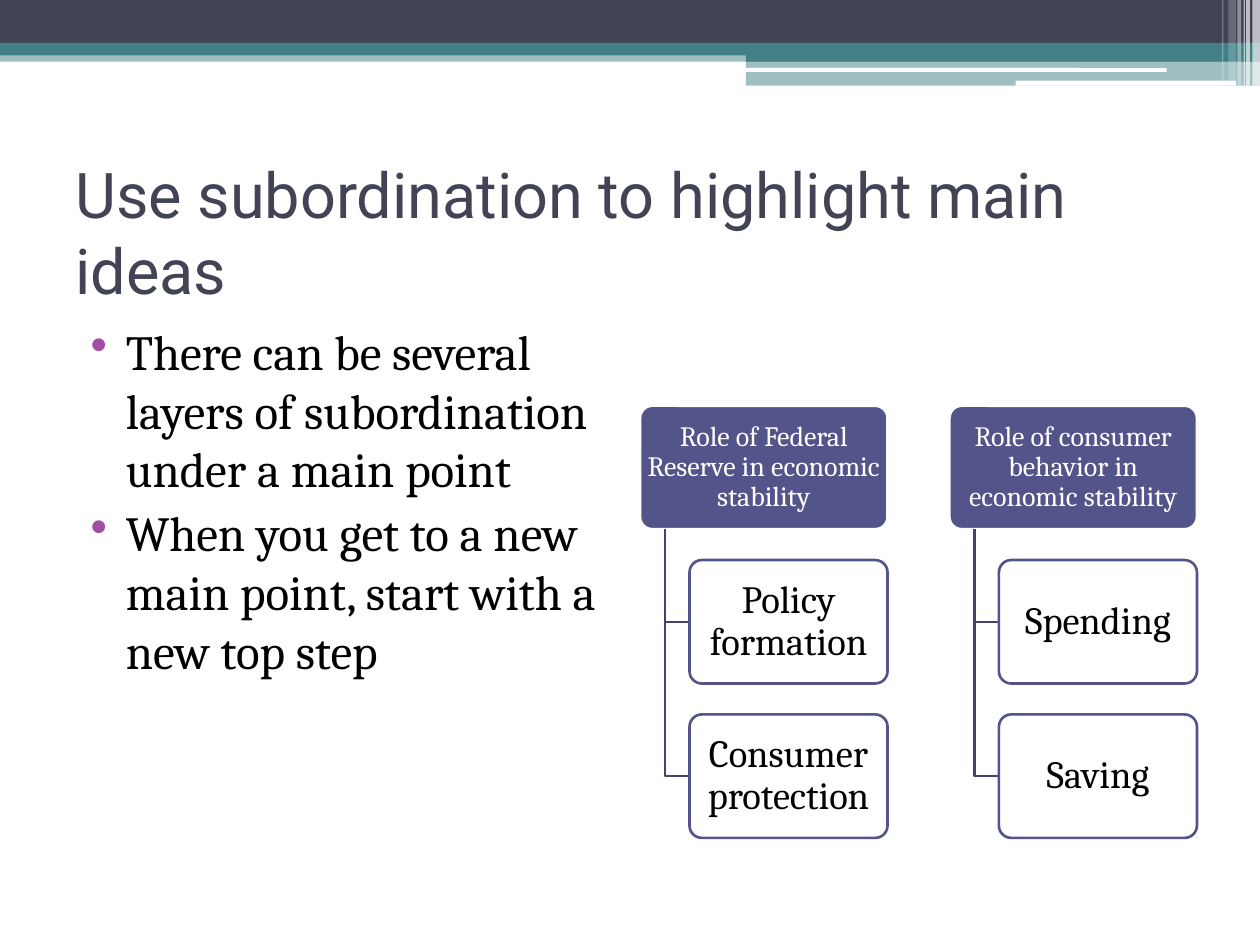
from dataclasses import dataclass
from lxml import etree
from pptx import Presentation
from pptx.dml.color import RGBColor
from pptx.enum.shapes import MSO_SHAPE
from pptx.enum.text import MSO_ANCHOR, PP_ALIGN
from pptx.oxml.ns import qn
from pptx.util import Inches, Pt

RECT = MSO_SHAPE.RECTANGLE
ROUND = MSO_SHAPE.ROUNDED_RECTANGLE
MID = MSO_ANCHOR.MIDDLE
CENTER = PP_ALIGN.CENTER


@dataclass(frozen=True)
class Theme:
    dark: str = "424456"
    teal: str = "438086"
    card: str = "53548A"
    rail: str = "42436F"
    dot: str = "A04DA3"
    white: str = "FFFFFF"
    black: str = "000000"
    head: str = "Roboto"
    body: str = "Cambria"
    title: int = 36
    text: int = 28
    top: int = 16
    sub: int = 22
    line: float = 1.5


THEME = Theme()


def rgb(code):
    return RGBColor.from_string(code)


def style(font, name, size, color):
    font.name = name
    font.size = Pt(size)
    font.color.rgb = rgb(color)


def add_box(slide, kind, box, fill, alpha=100, line=None):
    shape = slide.shapes.add_shape(kind, *map(Inches, box))
    shape.shadow.inherit = False
    shape.fill.solid()
    shape.fill.fore_color.rgb = rgb(fill)
    if alpha < 100:
        color = shape.fill._xPr.find(qn("a:solidFill"))[0]
        etree.SubElement(color, qn("a:alpha"), val=str(alpha * 1000))
    if line:
        shape.line.color.rgb = rgb(line)
        shape.line.width = Pt(THEME.line)
    else:
        shape.line.fill.background()
    return shape


def add_band(slide, box):
    left, top, width, height = box
    right = left + width
    half = 5.92
    bars = [
        (RECT, 0, 0.4, 10, 0.09, THEME.teal, 50),
        (RECT, 0, 0, 10, 0.34, THEME.dark, 100),
        (RECT, 0, 0.34, 10, 0.1, THEME.teal, 100),
        (RECT, half, 0.39, 4.08, 0.1, THEME.teal, 100),
        (RECT, half, 0.48, 4.08, 0.2, THEME.teal, 50),
        (ROUND, 5.91, 0.54, 3.35, 0.03, THEME.white, 100),
        (ROUND, 8.06, 0.64, 1.75, 0.04, THEME.white, 100),
    ]
    for kind, x, y, w, h, fill, alpha in bars:
        add_box(slide, kind, (left + x, top + y, w, h), fill, alpha)
    strips = [
        (0.06, 0.06, height, 65),
        (0.11, 0.03, height, 65),
        (0.13, 0.01, height, 60),
        (0.18, 0.03, height, 40),
        (0.25, 0.06, 0.64, 20),
        (0.3, 0.01, 0.64, 30),
    ]
    for gap, w, h, alpha in strips:
        add_box(slide, RECT, (right - gap, top, w, h), THEME.white, alpha)


def add_title(slide, box, text):
    frame = slide.shapes.add_textbox(*map(Inches, box)).text_frame
    frame.word_wrap = True
    frame.vertical_anchor = MID
    frame.text = text
    style(frame.paragraphs[0].font, THEME.head, THEME.title, THEME.dark)


def add_list(slide, box, items):
    frame = slide.shapes.add_textbox(*map(Inches, box)).text_frame
    frame.word_wrap = True
    for i, item in enumerate(items):
        para = frame.add_paragraph() if i else frame.paragraphs[0]
        para.text = item
        if i:
            para.space_before = Pt(3)
        props = para._p.get_or_add_pPr()
        props.set("marL", str(Inches(0.4)))
        props.set("indent", str(Inches(-0.28)))
        color = etree.SubElement(props, qn("a:buClr"))
        etree.SubElement(color, qn("a:srgbClr"), val=THEME.dot)
        etree.SubElement(props, qn("a:buChar"), char="•")
        style(para.font, THEME.body, THEME.text, THEME.black)


def add_card(slide, box, text, fill, alpha, line, size, ink, pad):
    card = add_box(slide, ROUND, box, fill, alpha, line)
    card.adjustments[0] = 0.1
    frame = card.text_frame
    frame.word_wrap = True
    frame.vertical_anchor = MID
    frame.margin_left = frame.margin_right = Inches(pad)
    frame.margin_top = frame.margin_bottom = Inches(0.03)
    frame.text = text
    para = frame.paragraphs[0]
    para.alignment = CENTER
    para.line_spacing = 0.9
    style(para.font, THEME.body, size, ink)


def add_rail(slide, x, top, end, low):
    path = slide.shapes.build_freeform(Inches(x), Inches(top))
    turns = [(Inches(x), Inches(low)), (Inches(end), Inches(low))]
    path.add_line_segments(turns, close=False)
    rail = path.convert_to_shape()
    rail.shadow.inherit = False
    rail.fill.background()
    rail.line.color.rgb = rgb(THEME.rail)
    rail.line.width = Pt(THEME.line)


def add_tree(slide, box, head, subs):
    left, top, width, height = box
    count = len(subs) + 1
    tall = height / (count + 0.25 * (count - 1))
    step = 1.25 * tall
    inset = 0.2 * width
    add_card(slide, (left, top, width, tall), head, THEME.card, 100,
             THEME.white, THEME.top, THEME.white, 0.03)
    for i, sub in enumerate(subs, 1):
        y = top + i * step
        add_rail(slide, left + inset / 2, top + tall, left + inset, y + tall / 2)
        add_card(slide, (left + inset, y, width - inset, tall), sub, THEME.white,
                 90, THEME.card, THEME.sub, THEME.black, 0.05)


def add_chart(slide, box, trees):
    left, top, width, height = box
    wide = width / (len(trees) + 0.25 * (len(trees) - 1))
    for i, (head, subs) in enumerate(trees):
        add_tree(slide, (left + i * 1.25 * wide, top, wide, height), head, subs)


def main():
    deck = Presentation()
    deck.slide_width = Inches(10)
    deck.slide_height = Inches(7.5)
    slide = deck.slides.add_slide(deck.slide_layouts[6])
    add_band(slide, (0, 0, 10, 0.68))
    add_title(slide, (0.5, 1.25, 9, 1.17), "Use subordination to highlight main ideas")
    add_list(slide, (0.5, 2.5, 4.42, 4.91), [
        "There can be several layers of subordination under a main point",
        "When you get to a new main point, start with a new top step",
    ])
    add_chart(slide, (5.08, 3.22, 4.42, 3.43), [
        ("Role of Federal Reserve in economic stability",
         ["Policy formation", "Consumer protection"]),
        ("Role of consumer behavior in economic stability",
         ["Spending", "Saving"]),
    ])
    deck.save("out.pptx")


if __name__ == "__main__":
    main()
